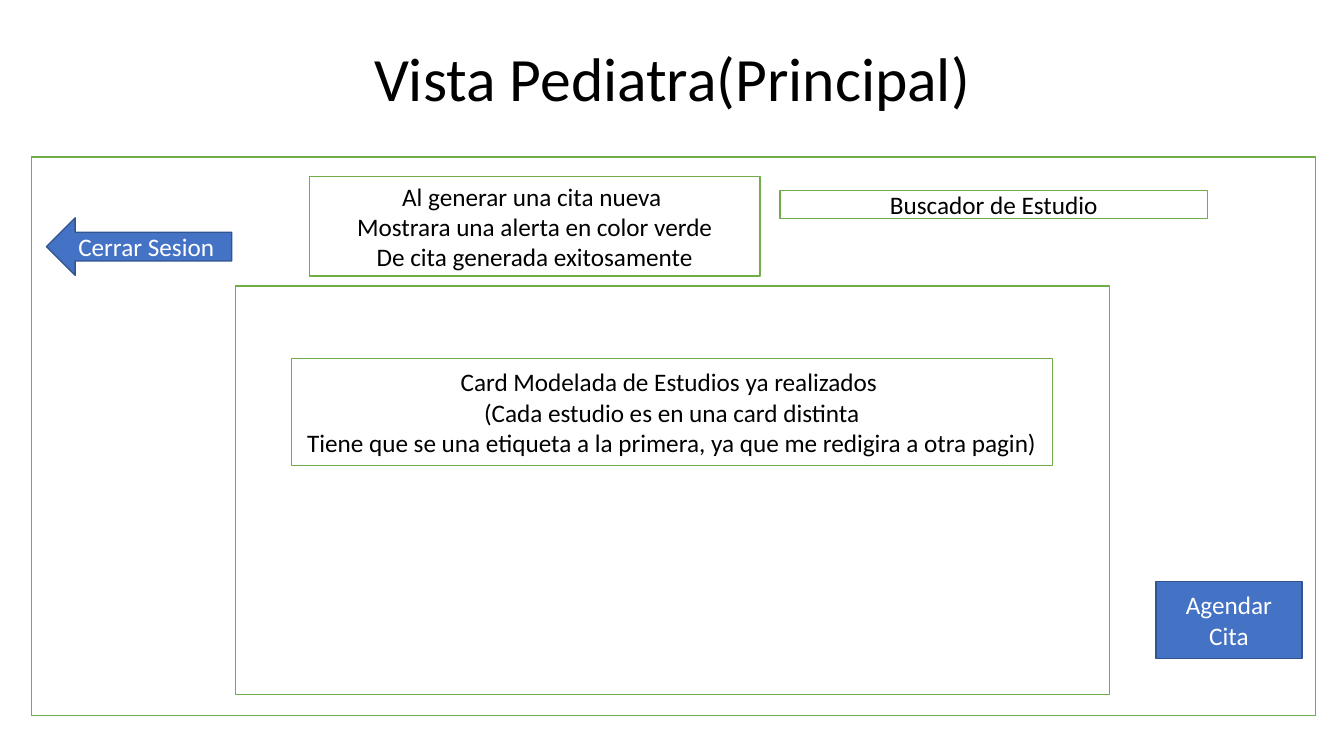
from dataclasses import dataclass

import pptx
import pptx.dml.color
import pptx.enum.shapes
import pptx.enum.text
import pptx.util

Cm = pptx.util.Cm
Shape = pptx.enum.shapes.MSO_SHAPE
Align = pptx.enum.text.PP_ALIGN


@dataclass(frozen=True)
class Theme:
    font: str = "Calibri"
    title_size: int = 44
    body_size: int = 18
    line_width: int = 1
    black: str = "000000"
    white: str = "FFFFFF"
    green: str = "70AD47"
    blue: str = "4472C4"
    dark_blue: str = "325491"


THEME = Theme()


def rgb(value):
    return pptx.dml.color.RGBColor.from_string(value)


def place(item, box):
    for name, value in zip(("left", "top", "width", "height"), box):
        setattr(item, name, Cm(value))


def write(frame, lines, size, color, line_spacing=1.0):
    """Fill a text frame with centred paragraphs, one for each line."""
    frame_format = {
        "word_wrap": True,
        "auto_size": pptx.enum.text.MSO_AUTO_SIZE.NONE,
        "vertical_anchor": pptx.enum.text.MSO_ANCHOR.MIDDLE,
    }
    for name, value in frame_format.items():
        setattr(frame, name, value)
    for index, line in enumerate(lines):
        para = frame.add_paragraph() if index else frame.paragraphs[0]
        para.alignment = Align.CENTER
        para.line_spacing = line_spacing
        span = para.add_run()
        span.text = line
        font_format = {"name": THEME.font, "size": pptx.util.Pt(size)}
        for name, value in font_format.items():
            setattr(span.font, name, value)
        span.font.color.rgb = rgb(color)


def add_title(page, text, box):
    title = page.shapes.title
    place(title, box)
    write(title.text_frame, [text], THEME.title_size, THEME.black, 0.9)


def add_block(page, kind, box, lines, fill, outline, color):
    block = page.shapes.add_shape(kind, *map(Cm, box))
    block.shadow.inherit = False
    block.fill.solid()
    block.fill.fore_color.rgb = rgb(fill)
    block.line.color.rgb = rgb(outline)
    block.line.width = pptx.util.Pt(THEME.line_width)
    write(block.text_frame, lines, THEME.body_size, color)


def add_panel(page, box, *lines):
    add_block(page, Shape.RECTANGLE, box, lines,
              THEME.white, THEME.green, THEME.black)


def add_button(page, box, label, kind=Shape.RECTANGLE):
    add_block(page, kind, box, [label],
              THEME.blue, THEME.dark_blue, THEME.white)


def main():
    deck = pptx.Presentation()
    deck.slide_width, deck.slide_height = Cm(33.87), Cm(19.05)
    page = deck.slides.add_slide(deck.slide_layouts.get_by_name("Title Only"))
    add_title(page, "Vista Pediatra(Principal)", (2.34, 1.02, 29.21, 2.06))

    # Screen frame and log-out arrow
    add_panel(page, (0.79, 3.96, 32.36, 14.07))
    add_button(page, (1.17, 5.49, 4.67, 1.45), "Cerrar Sesion",
               Shape.LEFT_ARROW)

    # Study list with its card
    add_panel(page, (5.94, 7.21, 22.02, 10.29))
    add_panel(page, (7.34, 9.04, 19.18, 2.69),
              "Card Modelada de Estudios ya realizados ",
              "(Cada estudio es en una card distinta",
              "Tiene que se una etiqueta a la primera, "
              "ya que me redigira a otra pagin)")

    # Search field, booking button and alert
    add_panel(page, (19.66, 4.8, 10.77, 0.71), "Buscador de Estudio")
    add_button(page, (29.13, 14.66, 3.68, 1.93), "Agendar Cita")
    add_panel(page, (7.8, 4.45, 11.35, 2.51),
              "Al generar una cita nueva ",
              "Mostrara una alerta en color verde",
              "De cita generada exitosamente")

    deck.save("out.pptx")


if __name__ == "__main__":
    main()
